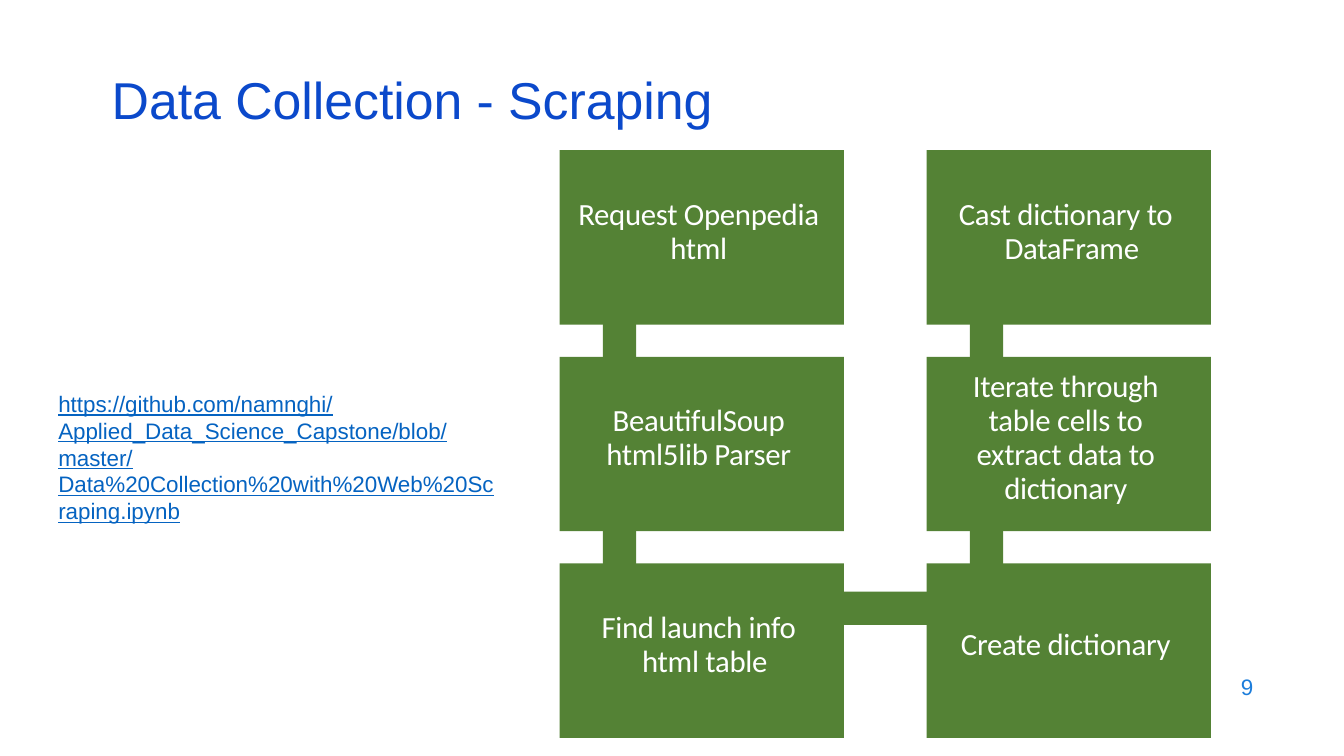
from dataclasses import dataclass

from pptx import Presentation
from pptx.dml.color import RGBColor
from pptx.enum.shapes import MSO_SHAPE as Preset
from pptx.enum.text import MSO_ANCHOR as Anchor, PP_ALIGN as Align
from pptx.util import Inches, Pt


@dataclass(frozen=True)
class Theme:
    title_color: str = "0B49CB"
    link_color: str = "0563C1"
    number_color: str = "1C7DDB"
    step_fill: str = "548235"
    step_text: str = "FFFFFF"
    text_font: str = "Arial"
    step_font: str = "Calibri"
    title_size: float = 37
    step_size: float = 22
    small_size: float = 16


def write_text(frame, text, *, font, size, color, align=Align.LEFT,
               anchor=Anchor.MIDDLE, spacing=None, underline=None,
               tracking=0, hanging=0):
    frame.word_wrap = True
    frame.vertical_anchor = anchor
    paragraph = frame.paragraphs[0]
    paragraph.text = text
    paragraph.alignment = align
    paragraph.line_spacing = spacing
    if hanging:
        properties = paragraph._p.get_or_add_pPr()
        properties.set("marL", str(Inches(hanging)))
        properties.set("indent", str(-Inches(hanging)))
    for run in paragraph.runs:
        run.font.name = font
        run.font.size = Pt(size)
        run.font.color.rgb = RGBColor.from_string(color)
        run.font.underline = underline
        if tracking:
            run._r.get_or_add_rPr().set("spc", str(round(tracking * 100)))


class SlideBuilder:
    def __init__(self, slide, theme):
        self.slide = slide
        self.theme = theme

    def text(self, left, top, width, height, text, **style):
        box = self.slide.shapes.add_textbox(
            Inches(left), Inches(top), Inches(width), Inches(height))
        write_text(box.text_frame, text, font=self.theme.text_font, **style)

    def bar(self, left, top, width, height):
        shape = self.slide.shapes.add_shape(
            Preset.RECTANGLE, Inches(left), Inches(top), Inches(width), Inches(height))
        shape.shadow.inherit = False
        shape.fill.solid()
        shape.fill.fore_color.rgb = RGBColor.from_string(self.theme.step_fill)
        shape.line.fill.background()
        return shape

    def step(self, left, top, width, height, text, hanging):
        frame = self.bar(left, top, width, height).text_frame
        frame.margin_left = frame.margin_top = 0
        frame.margin_right = Inches(0.06)
        frame.margin_bottom = Inches(0.12)
        write_text(frame, text, font=self.theme.step_font, size=self.theme.step_size,
                   color=self.theme.step_text, align=Align.CENTER, spacing=Pt(24.3),
                   tracking=-0.2, hanging=hanging)


STEP_COLUMNS = [
    [("Request Openpedia\vhtml", 0), ("BeautifulSoup\vhtml5lib Parser", 0),
     ("Find launch info\vhtml table", 0.12)],
    [("Cast dictionary to\vDataFrame", 0.12),
     ("Iterate through\vtable cells to\vextract data to\vdictionary", 0),
     ("Create dictionary", 0)],
]
LINK = ("https://github.com/namnghi/Applied_Data_Science_Capstone/blob/master/"
        "Data%20Collection%20with%20Web%20Scraping.ipynb")


def main():
    presentation = Presentation()
    presentation.slide_width = Inches(13.33)
    presentation.slide_height = Inches(7.5)
    theme = Theme()
    builder = SlideBuilder(
        presentation.slides.add_slide(presentation.slide_layouts[6]), theme)

    builder.text(9.53, 6.59, 3, 0.44, "9", size=theme.small_size,
                 color=theme.number_color, align=Align.RIGHT)
    builder.text(0.48, 3.82, 4.57, 1.77, LINK, size=theme.small_size,
                 color=theme.link_color, anchor=Anchor.TOP, spacing=Pt(19.2),
                 underline=True)
    builder.text(1.01, 0.76, 11.5, 0.6, "Data Collection - Scraping",
                 size=theme.title_size, color=theme.title_color, spacing=0.7)

    left, top, width, height = 5.55, 1.49, 2.82, 1.73
    column_pitch, row_pitch, thickness = 3.64, 2.05, 0.33
    builder.bar(6.11, 5.87, 3.71, thickness)
    for column, steps in enumerate(STEP_COLUMNS):
        x = left + column * column_pitch
        for row in range(len(steps) - 1):
            builder.bar(x + 0.43, top + row * row_pitch + 0.42, thickness, 2.12)
        for row, (text, hanging) in enumerate(steps):
            builder.step(x, top + row * row_pitch, width, height, text, hanging)

    presentation.save("out.pptx")


if __name__ == "__main__":
    main()
